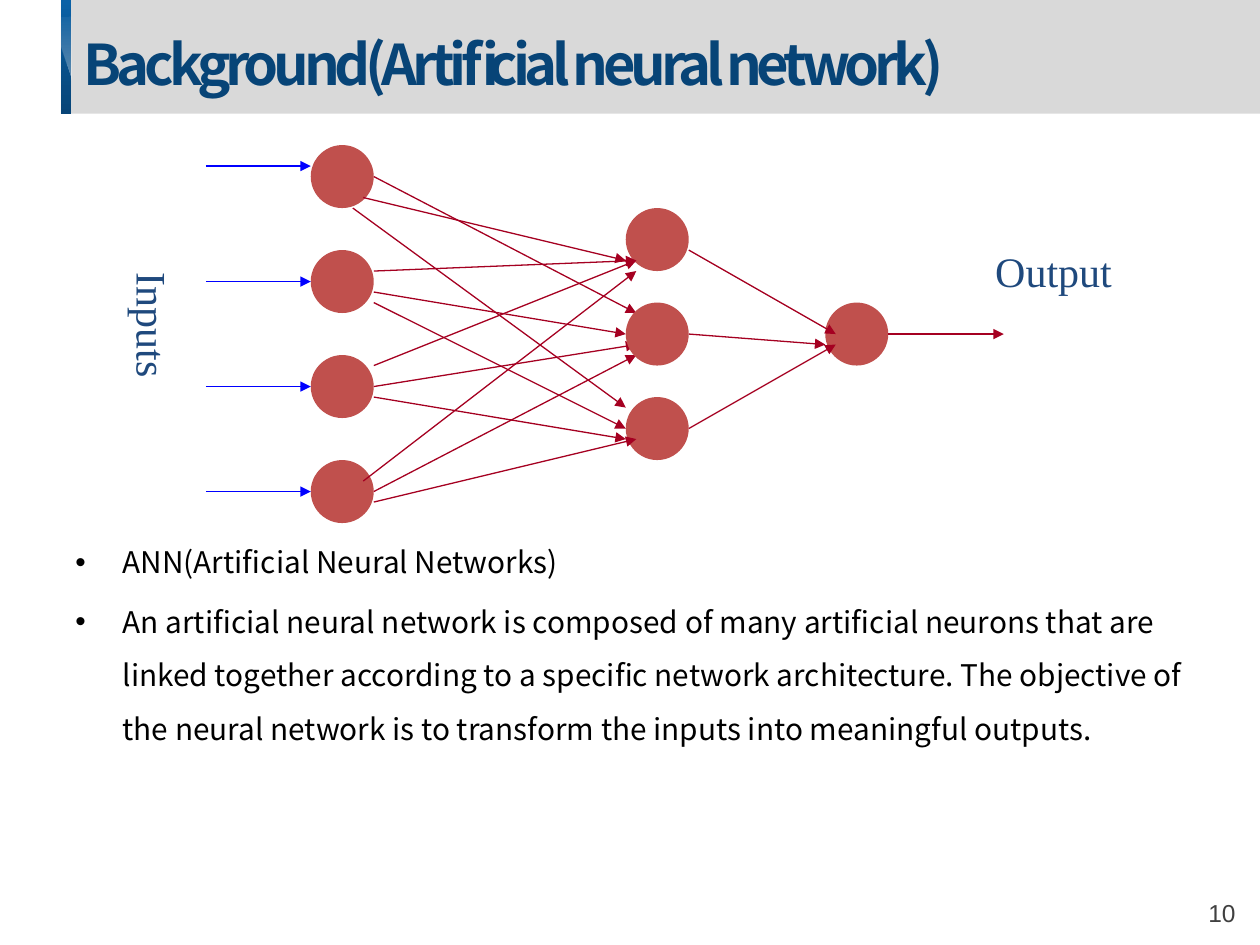
from lxml import etree
from pptx import Presentation
from pptx.dml.color import RGBColor
from pptx.enum import shapes, text
from pptx.oxml import ns
from pptx.util import Pt

COLORS = {
    "band": "D9D9D9", "accent_top": "0A61A6", "accent": "074477", "sheen": "FFFFFF",
    "neuron": "C0504D", "link": "A50021", "input": "0000FF", "label": "1F497D",
    "body": "000000", "number": "404040",
}
SANS, SERIF = "Noto Sans CJK KR", "Times New Roman"

# Network geometry, in grid steps from the diagram's top left corner
STEP = 6
NEURON = 6
INPUT_X, HIDDEN_X, OUTPUT_X = 10, 40, 59
INPUT_YS, HIDDEN_YS, OUTPUT_YS = range(0, 31, 10), range(6, 25, 9), [15]
INPUT_ARROWS = [(0, y, INPUT_X, y) for y in (2, 13, 23, 33)]
LINKS_BEHIND = [(16, 3, 41, 16), (16, 14, 40, 18), (16, 23, 41, 19), (16, 33, 41, 20)]
LINKS_FRONT = [
    (15, 5, 40, 11), (14, 6, 40, 25), (16, 12, 41, 11), (16, 15, 40, 27),
    (16, 21, 41, 11), (16, 24, 40, 28), (15, 32, 41, 12), (16, 34, 41, 28),
]
OUTPUT_ARROWS = [(46, 10, 60, 18), (46, 18, 59, 19), (46, 27, 60, 19), (65, 18, 76, 18)]


def color(name):
    return RGBColor.from_string(COLORS[name])


def add_xml(parent, tag, **attributes):
    return etree.SubElement(parent, ns.qn(tag), attributes)


def write(frame, *lines, size, fill, font, bold=False, tracking=None, line_spacing=None,
          before=0, bullet_indent=None, anchor=text.MSO_ANCHOR.TOP, wrap=True, inset=None):
    """Fill a text frame with one paragraph for each line."""
    frame.word_wrap = wrap
    frame.auto_size = text.MSO_AUTO_SIZE.NONE
    frame.vertical_anchor = anchor
    if inset is not None:
        frame.margin_left = frame.margin_right = Pt(inset)
        frame.margin_top = frame.margin_bottom = Pt(inset)
    for index, line in enumerate(lines):
        paragraph = frame.add_paragraph() if index else frame.paragraphs[0]
        paragraph.alignment = text.PP_ALIGN.LEFT
        paragraph.space_before = Pt(before)
        if line_spacing:
            paragraph.line_spacing = line_spacing
        if bullet_indent:
            properties = paragraph._p.get_or_add_pPr()
            properties.set("marL", str(Pt(bullet_indent)))
            properties.set("indent", str(-Pt(bullet_indent)))
            add_xml(properties, "a:buFont", typeface="Arial")
            add_xml(properties, "a:buChar", char="•")
        run = paragraph.add_run()
        run.text = line
        run.font.size, run.font.bold, run.font.name = Pt(size), bold, font
        run.font.color.rgb = color(fill)
        if tracking:
            run._r.get_or_add_rPr().set("spc", str(tracking * 100))
        add_xml(run._r.get_or_add_rPr(), "a:ea", typeface=font)


def add_text(slide, left, top, width, height, *lines, **formatting):
    box = slide.shapes.add_textbox(Pt(left), Pt(top), Pt(width), Pt(height))
    write(box.text_frame, *lines, **formatting)
    return box


def plain(shape):
    shape.shadow.inherit = False
    shape.line.fill.background()
    return shape


def add_solid(slide, kind, left, top, width, height, fill):
    shape = plain(slide.shapes.add_shape(kind, Pt(left), Pt(top), Pt(width), Pt(height)))
    shape.fill.solid()
    shape.fill.fore_color.rgb = color(fill)
    return shape


def shade(shape, top_color, bottom_color, opacities=()):
    """Give a shape a gradient from top to bottom, with optional opacity in percent."""
    shape.fill.gradient()
    shape.fill.gradient_angle = 270
    for stop, name in zip(shape.fill.gradient_stops, (top_color, bottom_color)):
        stop.color.rgb = color(name)
    hues = shape._element.spPr.findall(".//" + ns.qn("a:srgbClr"))
    for hue, opacity in zip(hues, opacities):
        add_xml(hue, "a:alpha", val=str(opacity * 1000))


def add_header(slide, left, top, width, height, heading):
    rectangle = shapes.MSO_SHAPE.RECTANGLE
    bar_width = 6
    add_solid(slide, rectangle, left, top, width, height, "band")
    bar = add_solid(slide, rectangle, left, top, bar_width, height, "accent")
    shade(bar, "accent_top", "accent")

    right = left + bar_width
    outline = slide.shapes.build_freeform(Pt(right), Pt(top + 9.5))
    corners = [(left, top + 10), (left, top + 25), (right, top + 46)]
    outline.add_line_segments([(Pt(x), Pt(y)) for x, y in corners], close=True)
    shade(plain(outline.convert_to_shape()), "sheen", "sheen", (5, 37))

    title = slide.shapes.title
    title.left, title.top = Pt(left + 6), Pt(top + 16.3)
    title.width, title.height = Pt(650), Pt(40)
    write(title.text_frame, heading, size=32, fill="accent", font=SANS, bold=True,
          tracking=-3, anchor=text.MSO_ANCHOR.MIDDLE)
    slide.shapes._spTree.append(title._element)  # bring the title in front of the band


def add_network(slide, left, top):
    def add_arrows(routes, hue):
        for x1, y1, x2, y2 in routes:
            arrow = slide.shapes.add_connector(
                shapes.MSO_CONNECTOR.STRAIGHT,
                Pt(left + x1 * STEP), Pt(top + y1 * STEP),
                Pt(left + x2 * STEP), Pt(top + y2 * STEP))
            arrow.line.color.rgb = color(hue)
            arrow.line.width = Pt(0.75)
            add_xml(arrow.line._get_or_add_ln(), "a:tailEnd", type="triangle")
            add_xml(arrow._element.spPr, "a:effectLst")

    def add_layer(x, ys):
        for y in ys:
            add_solid(slide, shapes.MSO_SHAPE.OVAL, left + x * STEP, top + y * STEP,
                      NEURON * STEP, NEURON * STEP, "neuron")

    add_layer(INPUT_X, INPUT_YS)
    add_arrows(LINKS_BEHIND, "link")
    add_layer(HIDDEN_X, HIDDEN_YS)
    add_arrows(LINKS_FRONT, "link")
    add_layer(OUTPUT_X, OUTPUT_YS)
    add_arrows(OUTPUT_ARROWS, "link")
    add_arrows(INPUT_ARROWS, "input")

    label = {"size": 24, "fill": "label", "font": SERIF}
    inputs = add_text(slide, left - 55, top + 66, 43, 120, "Inputs", **label)
    inputs.text_frame._txBody.bodyPr.set("vert", "eaVert")
    add_text(slide, left + 444, top + 54, 96, 36, "Output", **label)


def main():
    deck = Presentation()
    deck.slide_width, deck.slide_height = Pt(720), Pt(540)
    slide = deck.slides.add_slide(deck.slide_layouts[5])
    add_header(slide, 34.8, 0, 685.2, 65, "Background(Artificial neural network)")
    add_network(slide, 117.6, 82.9)
    add_text(
        slide, 36, 297, 648, 150,
        "ANN(Artificial Neural Networks)",
        "An artificial neural network is composed of many artificial neurons that are "
        "linked together according to a specific network architecture. The objective of "
        "the neural network is to transform the inputs into meaningful outputs.",
        size=17, fill="body", font=SANS, line_spacing=1.5, before=3.4, bullet_indent=27)
    add_text(slide, 690.5, 514.8, 32.4, 13, "10", size=14, fill="number", font="Arial",
             anchor=text.MSO_ANCHOR.MIDDLE, wrap=False, inset=0)
    deck.save("out.pptx")


if __name__ == "__main__":
    main()
